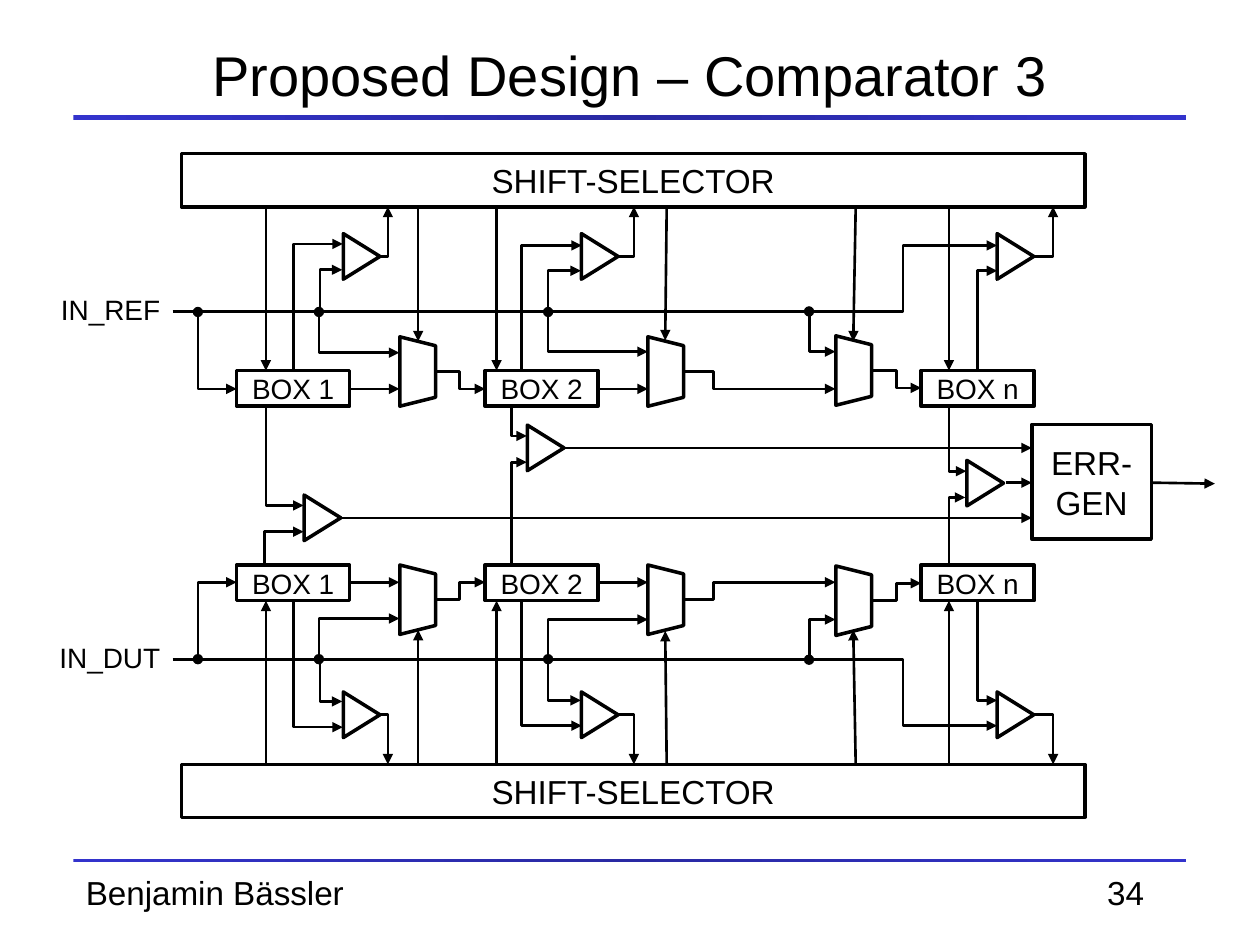
from copy import deepcopy

from pptx import Presentation
from pptx.dml.color import RGBColor
from pptx.enum.shapes import MSO_CONNECTOR, MSO_SHAPE
from pptx.enum.text import MSO_ANCHOR, PP_ALIGN
from pptx.oxml.ns import qn
from pptx.util import Cm, Pt
from lxml.etree import SubElement

SPAN = 19.58
INK = "000000"
BOXES = [("BOX 1", 4.77), ("BOX 2", 9.78), ("BOX n", 18.57)]
MUXES = [(8.42, 7.49), (13.42, 7.49), (17.21, 7.47)]
GATES = [(7.29, 5.17), (12.09, 5.17), (20.47, 5.17)]
JOINS = [(6.5, 10.44), (11, 9.03), (19.86, 9.74)]
DROPS = [(5.36, 5.36, 7.47), (10.01, 10.01, 7.47), (19.13, 19.13, 7.47),
         (8.43, 8.43, 6.88), (13.44, 13.41, 6.86), (17.25, 17.2, 6.88)]
FEEDS = [(7.05, 8.05), (12.06, 13.06)]
STEPS = [(3.48, 6.28, 16.84, 7.09, 0.961), (17.58, 7.47, 18.57, 7.82, 0.5),
         (8.76, 7.49, 9.78, 7.84, 0.5), (13.79, 7.49, 16.84, 7.84, 0.195)]
TAPS = [(6.43, 6.29, 8.05, 7.11), (11.05, 6.29, 13.06, 7.09),
        (3.99, 6.29, 4.77, 7.84)]
RISES = [(5.92, 7.47, 6.91, 4.92), (6.45, 6.28, 6.9, 5.44),
         (11.05, 6.2, 11.71, 5.46), (10.52, 7.47, 11.73, 4.95),
         (19.71, 7.47, 20.1, 5.46)]
TURNS = [(7.65, 7.82), (12.47, 12.78), (20.85, 21.23)]
LINKS = [(11.38, 9.03, 20.8, 9.03), (6.88, 10.44, 20.8, 10.44),
         (20.27, 9.73, 20.8, 9.73), (23.22, 9.73, 24.49, 9.75)]
BENDS = [(5.36, 8.2, 6.12, 10.19), (5.33, 11.38, 6.12, 10.72),
         (10.31, 8.2, 10.62, 8.79), (10.31, 11.38, 10.62, 9.32),
         (19.13, 8.2, 19.48, 9.5), (19.13, 11.38, 19.46, 10.03)]
UPRIGHT = -0.001


def tint(code):
    """Turn a hex string into a colour."""
    return RGBColor.from_string(code)


def write(frame, text, size, align):
    """Put one run of Arial text into a frame."""
    par = frame.paragraphs[0]
    par.alignment = align
    run = par.add_run()
    run.text = text
    run.font.name = "Arial"
    run.font.size = Pt(size)
    run.font.color.rgb = tint(INK)


def label(slide, text, box, size, align=PP_ALIGN.LEFT):
    """Add a plain text box."""
    frame = slide.shapes.add_textbox(*map(Cm, box)).text_frame
    frame.word_wrap = True
    write(frame, text, size, align)


def block(slide, kind, box, turn=0):
    """Add a white shape with a black outline."""
    shape = slide.shapes.add_shape(kind, *map(Cm, box))
    shape.shadow.inherit = False
    shape.rotation = turn
    shape.fill.solid()
    shape.fill.fore_color.rgb = tint("FFFFFF")
    shape.line.color.rgb = tint(INK)
    shape.line.width = Pt(2)
    return shape


def panel(slide, text, box, size, wrap=False):
    """Add a rectangle with centred text."""
    frame = block(slide, MSO_SHAPE.RECTANGLE, box).text_frame
    frame.word_wrap = wrap
    frame.vertical_anchor = MSO_ANCHOR.MIDDLE
    frame.margin_top = frame.margin_bottom = 0
    write(frame, text, size, PP_ALIGN.CENTER)


def mux(slide, x, y):
    """Add a multiplexer centred on a point."""
    block(slide, MSO_SHAPE.TRAPEZOID, (x - 0.7, y - 0.36, 1.4, 0.72), 90)


def gate(slide, x, y):
    """Add a comparator centred on a point."""
    block(slide, MSO_SHAPE.ISOSCELES_TRIANGLE, (x - 0.46, y - 0.37, 0.92, 0.74), 90)


def wire(slide, ends, bend=None, dot=False, corner=False):
    """Add an arrow: straight, stepped at a share of its width, or cornered."""
    kind = MSO_CONNECTOR.STRAIGHT
    if corner or bend is not None:
        kind = MSO_CONNECTOR.ELBOW
    link = slide.shapes.add_connector(kind, *map(Cm, ends))
    link.line.color.rgb = tint(INK)
    link.line.width = Pt(1.5)
    props = link._element.spPr
    geom = props.find(qn("a:prstGeom"))
    if corner:
        geom.set("prst", "bentConnector2")
    elif bend is not None:
        SubElement(geom.find(qn("a:avLst")), qn("a:gd"), name="adj1",
                   fmla=f"val {round(bend * 100000)}")
    stroke = props.find(qn("a:ln"))
    if dot:
        SubElement(stroke, qn("a:headEnd"), type="oval")
    SubElement(stroke, qn("a:tailEnd"), type="triangle")
    SubElement(props, qn("a:effectLst"))


def rule(slide, y, high):
    """Add a blue gradient bar across the slide."""
    bar = slide.shapes.add_shape(MSO_SHAPE.RECTANGLE, Cm(1.48), Cm(y), Cm(22.43), Cm(high))
    bar.shadow.inherit = False
    bar.line.fill.background()
    bar.fill.gradient()
    bar.fill.gradient_angle = 0
    stops = bar._element.spPr.find(qn("a:gradFill")).find(qn("a:gsLst"))
    stops.append(deepcopy(stops[0]))
    shades = [(0, "3333CC"), (0.5, "2929A3"), (1, "3333CC")]
    for stop, (place, code) in zip(bar.fill.gradient_stops, shades):
        stop.position = place
        stop.color.rgb = tint(code)


def half(slide, low):
    """Draw the upper half of the circuit, or its mirror image below."""
    def flip(y):
        return SPAN - y if low else y

    def ends(x1, y1, x2, y2):
        return x1, flip(y1), x2, flip(y2)

    def top(y, high):
        return SPAN - y - high if low else y

    panel(slide, "SHIFT-SELECTOR", (3.66, top(3.1, 1.07), 18.21, 1.07), 19)
    for name, x in BOXES:
        panel(slide, name, (x, top(7.47, 0.72), 2.28, 0.72), 16)
    for x, y in MUXES:
        mux(slide, x, flip(y))
    for x, y in GATES:
        gate(slide, x, flip(y))
    for x1, x2, y in DROPS:
        wire(slide, ends(x1, 4.17, x2, y))
    for x1, x2 in FEEDS:
        wire(slide, ends(x1, 7.84, x2, 7.84))
    for *pair, bend in STEPS:
        wire(slide, ends(*pair), bend)
    for pair in TAPS:
        wire(slide, ends(*pair), UPRIGHT, dot=True)
    for pair in RISES:
        wire(slide, ends(*pair), UPRIGHT)
    wire(slide, ends(16.31, 6.28, 20.1, 4.95), 0.5, dot=True)
    for x1, x2 in TURNS:
        wire(slide, ends(x1, 5.17, x2, 4.17), corner=True)


def core(slide):
    """Draw the error stage between the two halves."""
    panel(slide, "ERR-GEN", (20.8, 8.56, 2.41, 2.31), 19, wrap=True)
    for x, y in JOINS:
        gate(slide, x, y)
    for pair in LINKS:
        wire(slide, pair)
    for pair in BENDS:
        wire(slide, pair, UPRIGHT)


def head(slide, text):
    """Place and fill the title."""
    title = slide.shapes.title
    title.left, title.top, title.width, title.height = map(Cm, (1.9, 0.33, 21.6, 2.34))
    title.text_frame.vertical_anchor = MSO_ANCHOR.MIDDLE
    write(title.text_frame, text, 32, PP_ALIGN.CENTER)


def main():
    """Build the slide and save it."""
    deck = Presentation()
    deck.slide_width, deck.slide_height = Cm(25.4), Cm(19.05)
    slide = deck.slides.add_slide(deck.slide_layouts[5])
    rule(slide, 2.31, 0.12)
    rule(slide, 17.32, 0.05)
    label(slide, "Benjamin Bässler", (1.48, 17.45, 7.04, 1.07), 19)
    label(slide, "34", (22.07, 17.45, 1.85, 1.07), 19)
    head(slide, "Proposed Design – Comparator 3")
    label(slide, "IN_REF", (0.43, 5.77, 3.05, 0.94), 16, PP_ALIGN.RIGHT)
    label(slide, "IN_DUT", (0.43, 12.78, 3.05, 0.94), 16, PP_ALIGN.RIGHT)
    for low in (True, False):
        half(slide, low)
    core(slide)
    deck.save("out.pptx")


if __name__ == "__main__":
    main()
